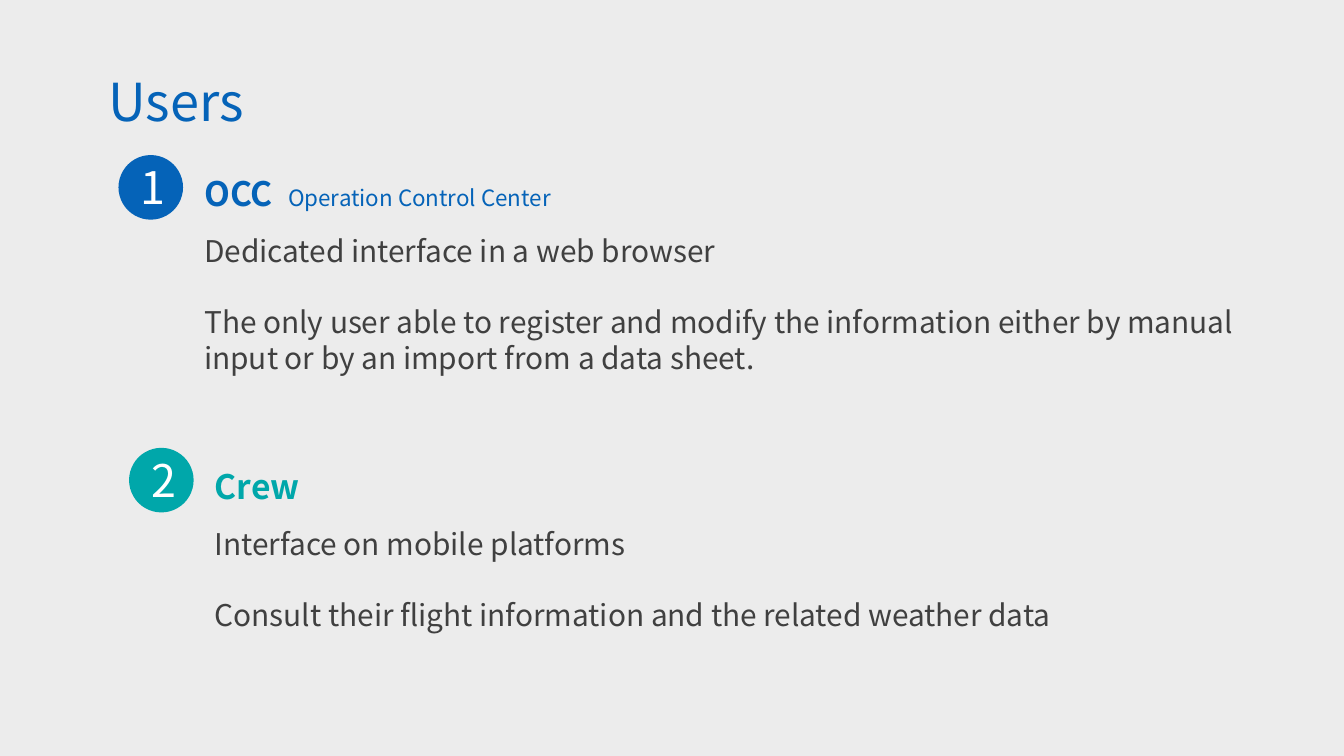
from pptx import Presentation
from pptx.dml.color import RGBColor
from pptx.enum.shapes import MSO_SHAPE as Shape
from pptx.enum.text import MSO_AUTO_SIZE as AutoSize, PP_ALIGN as Align
from pptx.oxml.ns import qn
from pptx.util import Cm, Pt
from lxml.etree import SubElement

COLORS = {"blue": "0563B8", "teal": "00A7AA", "text": "404040",
          "white": "FFFFFF", "backdrop": "D9D9D9", "band": "EDEDED"}
FONT = "Noto Sans CJK SC"
LINE_FACTOR = 1.2

deck = Presentation()
deck.slide_width, deck.slide_height = Cm(25.4), Cm(14.28)
page = deck.slides.add_slide(deck.slide_layouts[6])


def add_filled(kind, place, color, alpha=100):
    shape = page.shapes.add_shape(kind, *map(Cm, place))
    shape.shadow.inherit = False
    shape.line.fill.background()
    shape.fill.solid()
    shape.fill.fore_color.rgb = RGBColor.from_string(COLORS[color])
    if alpha < 100:
        tint = shape._element.spPr.find(qn("a:solidFill"))[0]
        SubElement(tint, qn("a:alpha")).set("val", str(alpha * 1000))


def add_text(place, paragraphs, wrap=True, align=Align.LEFT, gap=0):
    box = page.shapes.add_textbox(*map(Cm, place))
    frame = box.text_frame
    frame.word_wrap = wrap
    frame.auto_size = AutoSize.SHAPE_TO_FIT_TEXT
    for index, spans in enumerate(paragraphs):
        para = frame.add_paragraph() if index else frame.paragraphs[0]
        para.alignment = align
        para.line_spacing = Pt(round(spans[0][1] * LINE_FACTOR, 1))
        para.space_before = Pt(gap if index else 0)
        for text, size, color, bold in spans:
            span = para.add_run()
            span.text = text
            style = {"name": FONT, "size": Pt(size), "bold": bold}
            for key, value in style.items():
                setattr(span.font, key, value)
            span.font.color.rgb = RGBColor.from_string(COLORS[color])


add_filled(Shape.RECTANGLE, (0, 0, 25.4, 14.28), "backdrop", 48)
add_text((1.8, 1.19, 3.38, 1.45), [[("Users", 28, "blue", False)]], wrap=False)
add_filled(Shape.RECTANGLE, (0, 4.47, 25.4, 7.49), "band", 90)

users = [
    ("blue", "OCC  ", "Operation Control Center",
     ["Dedicated interface in a web browser",
      "The only user able to register and modify the information either by "
      "manual input or by an import from a data sheet."], 2.95),
    ("teal", "Crew", "",
     ["Interface on mobile platforms",
      "Consult their flight information and the related weather data"], 2.29),
]
for index, (color, name, meaning, lines, height) in enumerate(users):
    left, top = 2.24 + 0.2 * index, 2.93 + 5.53 * index
    heading = [(name, 18, color, True)]
    if meaning:
        heading.append((meaning, 12, color, False))
    add_text((left + 1.37, top + 0.22, 11.48, 1.02), [heading])
    add_filled(Shape.OVAL, (left, top, 1.22, 1.22), color)
    add_text((left + 0.15, top - 0.03, 0.99, 1.27),
             [[(str(index + 1), 24, "white", False)]],
             wrap=False, align=Align.RIGHT)
    add_text((left + 1.37, top + 1.34, 20.19, height),
             [[(line, 16, "text", False)] for line in lines], gap=19)

deck.save("out.pptx")
